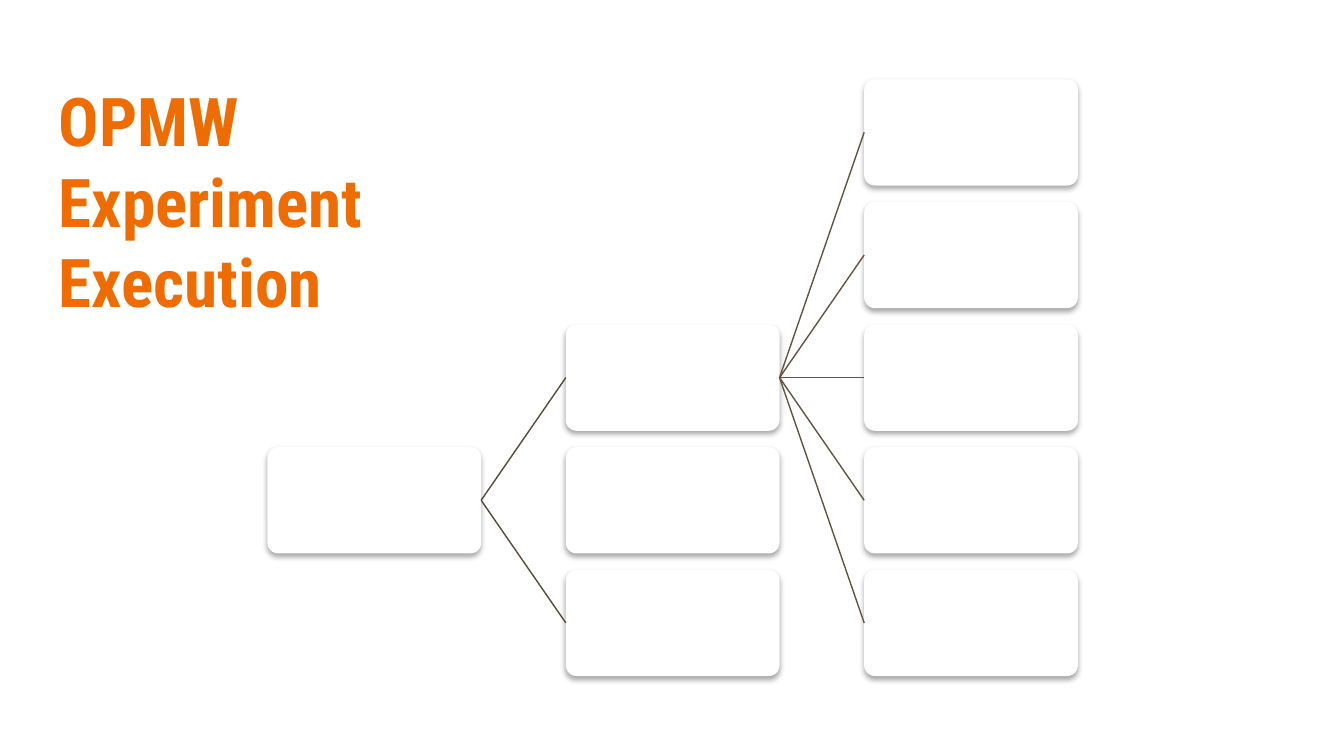
from lxml import etree
from pptx import Presentation
from pptx.dml.color import RGBColor
from pptx.enum.shapes import MSO_CONNECTOR, MSO_SHAPE
from pptx.oxml import parse_xml
from pptx.oxml.ns import nsdecls, qn
from pptx.util import Inches, Pt

ORANGE = RGBColor(0xEF, 0x6C, 0x00)
WHITE = RGBColor(0xFF, 0xFF, 0xFF)
BLACK = RGBColor(0x00, 0x00, 0x00)
ROOT_BRANCH = RGBColor(0x54, 0x4A, 0x38)
LEAF_BRANCH = RGBColor(0x5F, 0x54, 0x40)

SLIDE_WIDTH = 10
SLIDE_HEIGHT = SLIDE_WIDTH * 9 / 16
NODE_WIDTH, NODE_HEIGHT = 1.59, 0.79
LEFT_SITE, RIGHT_SITE = 1, 3


def add_text(slide, box, text, *, font, size, color, bold=False):
    """Place text in a wrapping box given as left, top, width, height."""
    holder = slide.shapes.add_textbox(*map(Inches, box))
    frame = holder.text_frame
    frame.word_wrap = True
    frame.margin_left = frame.margin_right = Inches(0.1)
    frame.margin_top = frame.margin_bottom = Inches(0.1)
    paragraph = frame.paragraphs[0]
    paragraph.text = text
    for run in paragraph.runs:
        run.font.name = font
        run.font.size = Pt(size)
        run.font.bold = bold
        run.font.color.rgb = color


def add_node(slide, left, top):
    """Add one white rounded node with a soft shadow below it."""
    node = slide.shapes.add_shape(
        MSO_SHAPE.ROUNDED_RECTANGLE, Inches(left), Inches(top),
        Inches(NODE_WIDTH), Inches(NODE_HEIGHT))
    node.adjustments[0] = 0.1
    node.fill.solid()
    node.fill.fore_color.rgb = WHITE
    node.line.fill.background()
    node.shadow.inherit = False
    effects = node.element.spPr.find(qn("a:effectLst"))
    effects.append(parse_xml(
        f'<a:outerShdw {nsdecls("a")} blurRad="{Pt(3.1)}" dist="{Pt(1.8)}" '
        f'dir="5400000" rotWithShape="0"><a:srgbClr val="{BLACK}">'
        '<a:alpha val="35000"/></a:srgbClr></a:outerShdw>'))
    return node


def add_branch(slide, parent, child, color):
    """Join the right side of a parent to the left side of a child."""
    branch = slide.shapes.add_connector(MSO_CONNECTOR.STRAIGHT, 0, 0, 0, 0)
    branch.begin_connect(parent, RIGHT_SITE)
    branch.end_connect(child, LEFT_SITE)
    branch.line.color.rgb = color
    branch.line.width = Pt(0.75)
    etree.SubElement(branch.element.spPr, qn("a:effectLst"))


def add_execution_tree(slide, left, top, width, height):
    """Draw the three-level tree on a grid of three columns and five rows."""
    column_pitch = (width - NODE_WIDTH) / 2
    row_pitch = (height - NODE_HEIGHT) / 4

    def add_column(column, rows):
        """Add the nodes of one level in the given grid rows."""
        return [add_node(slide, left + column * column_pitch,
                         top + row * row_pitch) for row in rows]

    root, = add_column(0, [3])
    steps = add_column(1, [2, 3, 4])
    leaves = add_column(2, range(5))
    for step in (steps[0], steps[-1]):
        add_branch(slide, root, step, ROOT_BRANCH)
    for leaf in leaves:
        add_branch(slide, steps[0], leaf, LEAF_BRANCH)


def build_slide():
    """Build and save the presentation."""
    deck = Presentation()
    deck.slide_width = Inches(SLIDE_WIDTH)
    deck.slide_height = Inches(SLIDE_HEIGHT)
    slide = deck.slides.add_slide(deck.slide_layouts[6])
    slide.background.fill.solid()
    slide.background.fill.fore_color.rgb = WHITE
    add_text(slide, (0.34, 0.49, 9.32, 0.77), "OPMW\vExperiment\vExecution",
             font="Roboto Condensed", size=36, color=ORANGE, bold=True)
    add_execution_tree(slide, 1.99, 0.59, 6.03, 4.44)
    deck.save("out.pptx")


build_slide()
